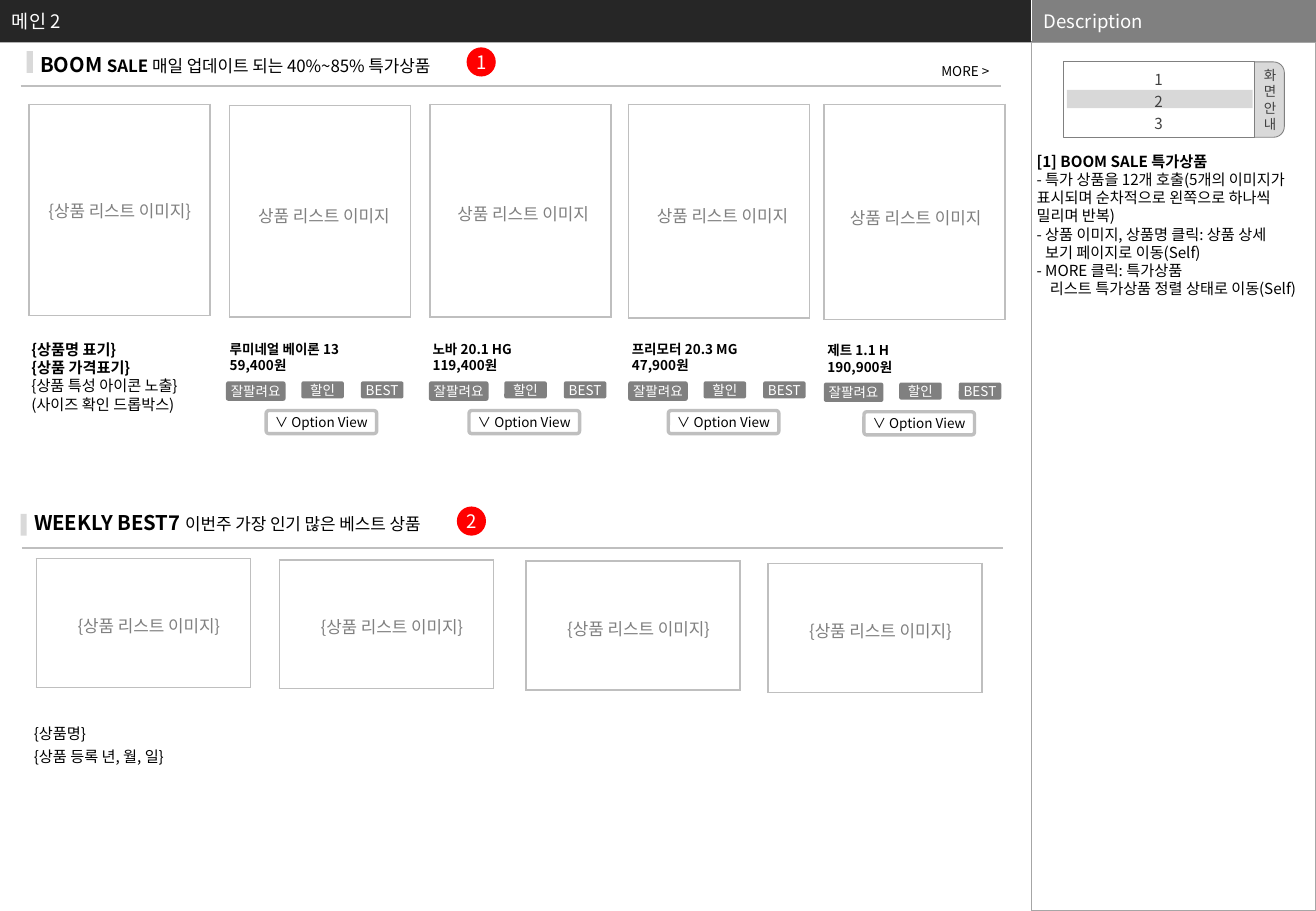
from dataclasses import dataclass

from lxml import etree
from pptx import Presentation
from pptx.dml.color import RGBColor
from pptx.enum.shapes import MSO_CONNECTOR, MSO_SHAPE
from pptx.enum.text import MSO_ANCHOR, MSO_AUTO_SIZE, PP_ALIGN
from pptx.oxml.ns import qn
from pptx.util import Inches, Pt

RECT, ROUND, OVAL = MSO_SHAPE.RECTANGLE, MSO_SHAPE.ROUNDED_RECTANGLE, MSO_SHAPE.OVAL
TOP, MIDDLE = MSO_ANCHOR.TOP, MSO_ANCHOR.MIDDLE
LEFT, CENTER, RIGHT = PP_ALIGN.LEFT, PP_ALIGN.CENTER, PP_ALIGN.RIGHT
STRAIGHT = MSO_CONNECTOR.STRAIGHT
FIT, FIXED = MSO_AUTO_SIZE.SHAPE_TO_FIT_TEXT, MSO_AUTO_SIZE.NONE
BOX_INSETS = (0.1, 0.05, 0.1, 0.05)
TITLE_INSETS = (0.14, 0.05, 0.1, 0.05)
NO_INSETS = (0, 0, 0, 0)


@dataclass(frozen=True)
class Theme:
    font: str = "Noto Sans CJK KR"
    white: str = "FFFFFF"
    black: str = "000000"
    header: str = "262626"
    grey: str = "808080"
    divider: str = "7F7F7F"
    panel: str = "A6A6A6"
    border: str = "BFBFBF"
    light: str = "D9D9D9"
    dark: str = "404040"
    red: str = "FF0000"
    title: int = 12
    heading: int = 11
    label: int = 10
    body: int = 9
    small: int = 8


THEME = Theme()


@dataclass(frozen=True)
class Product:
    name: str
    price: str
    frame: tuple
    label: tuple
    details: tuple


PRODUCTS = (
    Product("루미네얼 베이론 13", "59,400원", (1.89, 0.87, 1.49, 1.74), (2.04, 1.69), (1.86, 2.81)),
    Product("노바 20.1 HG", "119,400원", (3.54, 0.86, 1.49, 1.75), (3.68, 1.68), (3.53, 2.81)),
    Product("프리모터 20.3 MG", "47,900원", (5.17, 0.86, 1.49, 1.76), (5.32, 1.69), (5.17, 2.81)),
    Product("제트 1.1 H", "190,900원", (6.78, 0.86, 1.49, 1.77), (6.91, 1.71), (6.78, 2.82)),
)
BADGES = (("잘팔려요", 0, 0.49, 0.16), ("할인", 0.62, 0.35, 0.14), ("BEST", 1.11, 0.35, 0.14))
BEST_FRAMES = ((0.3, 4.6), (2.3, 4.61), (4.33, 4.62), (6.32, 4.64))
PLACEHOLDER = "{상품 리스트 이미지}"
DESCRIPTION = (
    "[1] BOOM SALE 특가상품",
    "- 특가 상품을 12개 호출(5개의 이미지가 표시되며 순차적으로 왼쪽으로 하나씩 밀리며 반복)",
    "- 상품 이미지, 상품명 클릭: 상품 상세",
    "보기 페이지로 이동(Self)",
    "- MORE 클릭: 특가상품",
    "리스트 특가상품 정렬 상태로 이동(Self)",
)


def rgb(color):
    return RGBColor.from_string(color)


def write(shape, lines, size, color=THEME.black, bold=False, align=LEFT, anchor=TOP,
          insets=BOX_INSETS, wrap=True, spacing=None, fit=False):
    frame = shape.text_frame
    frame.text = "\n".join(lines)
    frame.word_wrap = wrap
    frame.auto_size = FIT if fit else FIXED
    frame.vertical_anchor = anchor
    frame.margin_left, frame.margin_top, frame.margin_right, frame.margin_bottom = map(Inches, insets)
    for paragraph in frame.paragraphs:
        paragraph.alignment = align
        if spacing:
            paragraph.line_spacing = spacing
        font = paragraph.font
        font.size, font.bold, font.name = Pt(size), bold, THEME.font
        font.color.rgb = rgb(color)
        properties = paragraph._p.get_or_add_pPr().find(qn("a:defRPr"))
        etree.SubElement(properties, qn("a:ea")).set("typeface", THEME.font)
    return frame.paragraphs


def add_text(slide, box, lines, size, **style):
    return write(slide.shapes.add_textbox(*map(Inches, box)), lines, size, fit=True, **style)


def add_block(slide, kind, box, fill=None, line=None, width=1, corner=None):
    block = slide.shapes.add_shape(kind, *map(Inches, box))
    block.shadow.inherit = False
    if corner is not None:
        block.adjustments[0] = corner
    if fill:
        block.fill.solid()
        block.fill.fore_color.rgb = rgb(fill)
    else:
        block.fill.background()
    if line:
        block.line.color.rgb = rgb(line)
        block.line.width = Pt(width)
    else:
        block.line.fill.background()
    return block


def add_rule(slide, start, end, color, width):
    rule = slide.shapes.add_connector(STRAIGHT, *map(Inches, start + end))
    rule.line.color.rgb = rgb(color)
    rule.line.width = Pt(width)
    etree.SubElement(rule._element.spPr, qn("a:effectLst"))


def add_frame(slide, box):
    table = slide.shapes.add_table(1, 1, *map(Inches, box)).table
    table.first_row = table.horz_banding = False
    cell = table.cell(0, 0)
    cell.fill.background()
    properties = cell._tc.get_or_add_tcPr()
    for position, side in enumerate(("lnL", "lnR", "lnT", "lnB")):
        border = etree.Element(qn(f"a:{side}"), w=str(Pt(1)))
        fill = etree.SubElement(border, qn("a:solidFill"))
        etree.SubElement(fill, qn("a:srgbClr"), val=THEME.border)
        properties.insert(position, border)


def add_label(slide, left, top, text):
    label = add_block(slide, RECT, (left, top, 1.25, 0.17), THEME.white)
    write(label, [text], THEME.label, THEME.grey, align=CENTER, insets=NO_INSETS, fit=True)


def add_chip(slide, kind, box, text, size, color, fill, **outline):
    chip = add_block(slide, kind, box, fill, **outline)
    write(chip, [text], size, color, align=CENTER, anchor=MIDDLE, insets=NO_INSETS, wrap=False)


def add_section(slide, title_box, bar, runs, number, marker, rule):
    title = add_text(slide, title_box, [""], THEME.label, insets=TITLE_INSETS)[0]
    for text, size, bold in runs:
        run = title.add_run()
        run.text = text
        run.font.size, run.font.bold = Pt(size), bold
    add_block(slide, RECT, bar + (0.05, 0.18), THEME.light)
    add_chip(slide, OVAL, marker + (0.24, 0.24), number, THEME.heading, THEME.white, THEME.red)
    left, top = rule
    add_rule(slide, rule, (left + 8.07, top), THEME.border, 1)


def add_product(slide, product):
    add_frame(slide, product.frame)
    add_label(slide, *product.label, "상품 리스트 이미지")
    left, top = product.details
    add_text(slide, (left + 0.03, top, 1.64, 0.27), [product.name, product.price],
             THEME.small, bold=True, insets=NO_INSETS)
    for text, offset, width, height in BADGES:
        add_chip(slide, ROUND, (left + offset, top + 0.33, width, height), text,
                 THEME.small, THEME.white, THEME.grey, corner=0.12)
    add_chip(slide, ROUND, (left + 0.33, top + 0.57, 0.91, 0.19), "∨ Option View",
             THEME.small, THEME.black, THEME.white, line=THEME.border, width=2, corner=0.12)


def add_header(slide):
    for text, left, width, fill in (("메인 2", 0, 8.49, THEME.header),
                                    ("Description", 8.49, 2.34, THEME.grey)):
        band = add_block(slide, RECT, (left, 0, width, 0.35), fill)
        write(band, [text], THEME.heading, THEME.white, anchor=MIDDLE)
    add_rule(slide, (8.49, 0), (8.49, 0.35), THEME.white, 0.25)
    add_rule(slide, (8.49, 0.34), (8.49, 7.5), THEME.divider, 0.25)


def add_description(slide):
    panel = add_block(slide, RECT, (8.49, 0.35, 2.34, 7.15), line=THEME.panel)
    notes = write(panel, DESCRIPTION, THEME.body, insets=(0.04, 0.9, 0.04, 0))
    notes[0].font.bold = True
    for position, indent in ((3, 0.07), (5, 0.11)):
        notes[position]._p.get_or_add_pPr().set("marL", str(Inches(indent)))
    tab = add_block(slide, ROUND, (10.11, 0.51, 0.46, 0.62), THEME.light, THEME.grey, 0.5, 0.19)
    write(tab, "화면안내", THEME.small, THEME.dark, align=RIGHT, anchor=MIDDLE,
          insets=(0, 0, 0.04, 0), wrap=False)
    menu = add_block(slide, RECT, (8.75, 0.51, 1.57, 0.62), THEME.white, THEME.grey, 0.5)
    write(menu, "123", THEME.body, THEME.dark, align=CENTER, anchor=MIDDLE,
          insets=(0.04,) * 4, wrap=False, spacing=1.2)
    highlight = add_block(slide, RECT, (8.78, 0.74, 1.53, 0.15), THEME.dark)
    tint = highlight._element.spPr.find(qn("a:solidFill"))[0]
    etree.SubElement(tint, qn("a:alpha"), val="20000")


def main():
    deck = Presentation()
    deck.slide_width, deck.slide_height = Inches(10.83), Inches(7.5)
    slide = deck.slides.add_slide(deck.slide_layouts[6])
    add_header(slide)

    add_section(slide, (0.19, 0.38, 3.73, 0.3), (0.22, 0.42),
                (("BOOM ", THEME.title, True), ("SALE ", THEME.label, True),
                 ("매일 업데이트 되는 40%~85% 특가상품", THEME.label, False)),
                "1", (3.84, 0.39), (0.17, 0.71))
    add_text(slide, (7.51, 0.4, 0.87, 0.3), ["MORE >"], THEME.small, align=CENTER, spacing=1.5)
    add_frame(slide, (0.24, 0.86, 1.49, 1.74))
    add_label(slide, 0.36, 1.65, PLACEHOLDER)
    guide = add_text(slide, (0.16, 2.75, 1.61, 0.71),
                     ["{상품명 표기}", "{상품 가격표기}", "{상품 특성 아이콘 노출}",
                      "(사이즈 확인 드롭박스)"], THEME.body)
    for paragraph in guide[:2]:
        paragraph.font.bold = True
    for product in PRODUCTS:
        add_product(slide, product)

    add_section(slide, (0.14, 4.15, 3.7, 0.3), (0.17, 4.23),
                (("WEEKLY BEST7 ", THEME.title, True),
                 ("이번주 가장 인기 많은 베스트 상품", THEME.label, False)),
                "2", (3.76, 4.17), (0.18, 4.51))
    for left, top in BEST_FRAMES:
        add_frame(slide, (left, top, 1.76, 1.06))
        add_label(slide, left + 0.3, top + 0.47, PLACEHOLDER)
    add_text(slide, (0.18, 5.91, 2.02, 0.25), ["{상품명}"], THEME.body)
    add_text(slide, (0.18, 6.1, 1.44, 0.25), ["{상품 등록 년, 월, 일}"], THEME.body)

    add_description(slide)
    deck.save("out.pptx")


if __name__ == "__main__":
    main()
